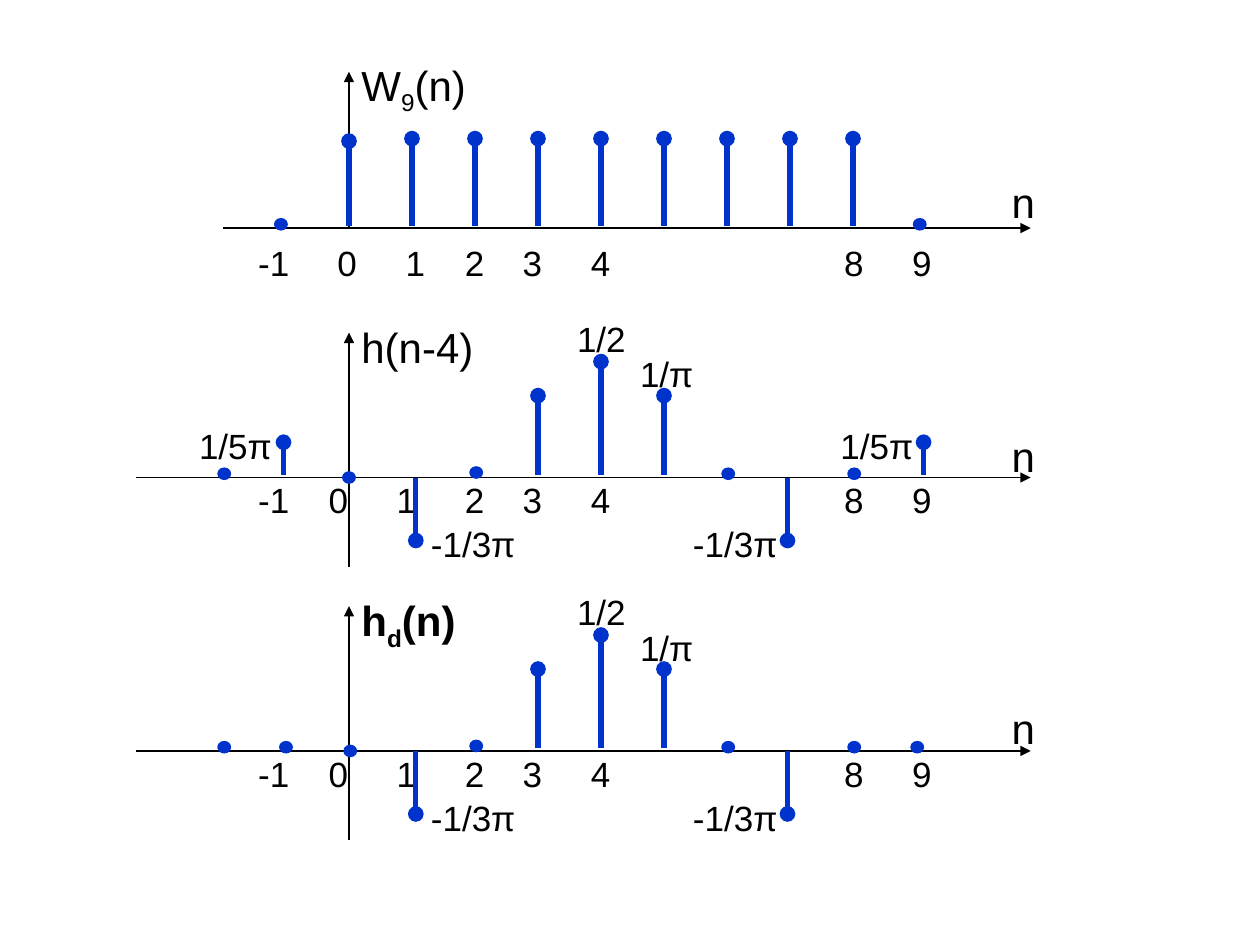
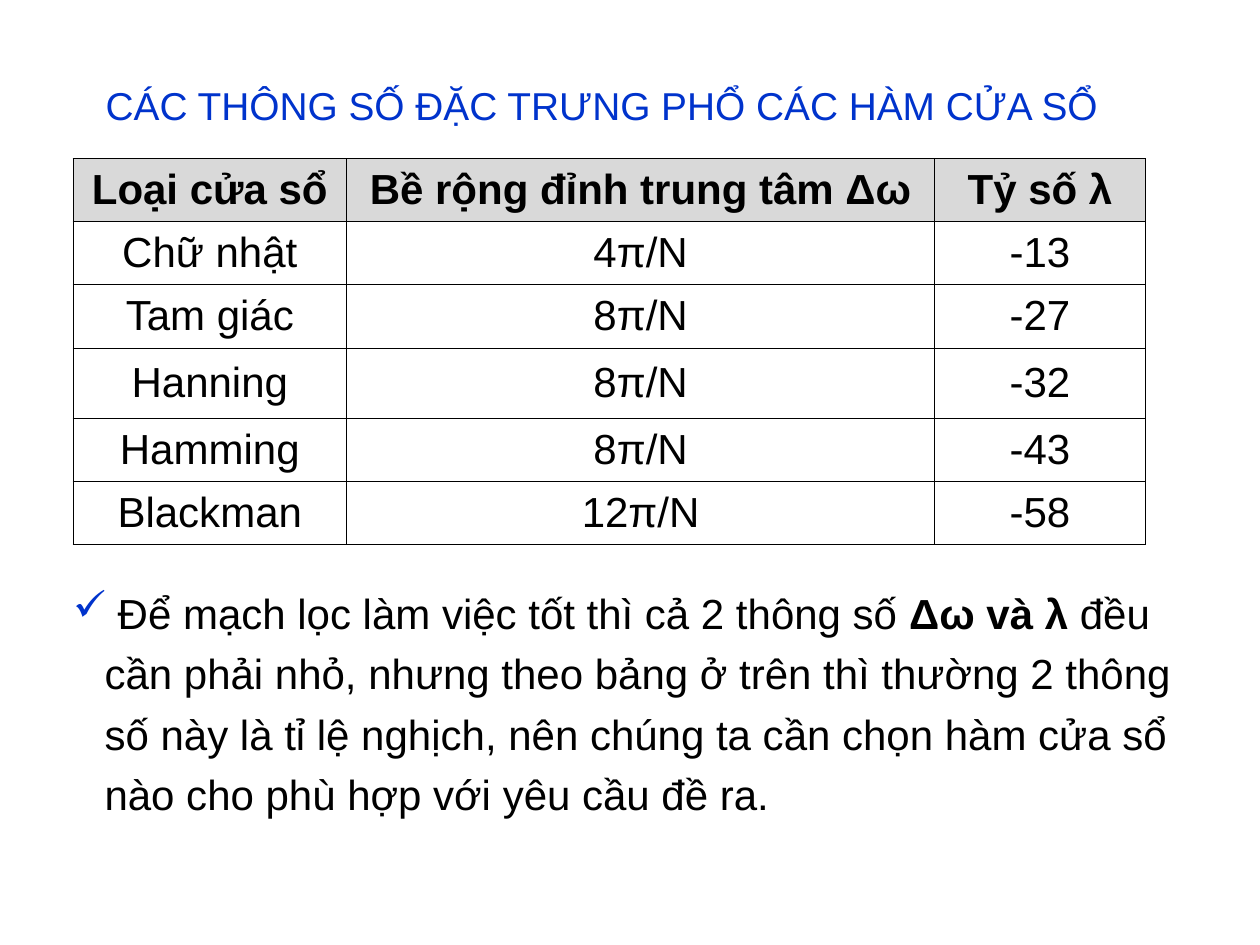
"""Build two slides on window functions: three stem plots, then a table of window parameters."""
import pptx
import pptx.chart.data
import pptx.dml.color
import pptx.enum.shapes
import pptx.enum.text
import pptx.oxml
import pptx.oxml.ns
import pptx.util
from pptx.util import Inches, Pt

COLORS = {"text": "000000", "accent": "0033CC", "header": "D9D9D9"}
FONT = "Arial"
ORIGIN_X, AXIS_END = 2.77, 8.18
TICKS = ["-1", "0", "1", "2", "3", "4", "8", "9"]
TICK_STOPS = [1.64, 2.1, 2.64, 4.65, 5.19]

COMMON_STEMS = [(4.27, 0.65), (4.77, 0.92), (5.27, 0.65), (3.3, -0.5), (6.25, -0.5)]
COMMON_DOTS = [(1.78, 0.03), (3.78, 0.04), (5.78, 0.03), (6.78, 0.03)]
COMMON_VALUES = [("1/2", 4.58, -1.27), ("1/π", 5.08, -0.99),
                 ("-1/3π", 5.5, 0.36), ("-1/3π", 3.42, 0.36)]

PLOTS = [
    dict(title=[("W", 0), ("9", -25), ("(n)", 0)], bold=False, title_top=-1.39, name_top=-0.46,
         base=1.81, left=1.77, top=0.57, bottom=1.81, tick_top=0.06, stops=[0.63, 1.17],
         stems=[(ORIGIN_X, 0.69)] + [(ORIGIN_X + n * 0.5, 0.71) for n in range(1, 9)],
         dots=[(2.23, 0.03), (7.3, 0.03)], values=[]),
    dict(title=[("h(n-4)", 0)], bold=False, title_top=-1.29, name_top=-0.42,
         base=3.79, left=1.08, top=2.64, bottom=4.5, tick_top=-0.04, stops=[0.56, 1.1],
         stems=COMMON_STEMS + [(2.25, 0.28), (7.33, 0.28)],
         dots=COMMON_DOTS + [(ORIGIN_X, 0)],
         values=COMMON_VALUES + [("1/5π", 1.58, -0.42), ("1/5π", 6.67, -0.42)]),
    dict(title=[("h", 0), ("d", -25), ("(n)", 0)], bold=True, title_top=-1.29, name_top=-0.43,
         base=5.96, left=1.08, top=4.81, bottom=6.67, tick_top=-0.04, stops=[0.56, 1.1],
         stems=COMMON_STEMS,
         dots=COMMON_DOTS + [(2.27, 0.03), (2.78, 0), (7.28, 0.03)],
         values=COMMON_VALUES),
]

HEADING = "CÁC THÔNG SỐ ĐẶC TRƯNG PHỔ CÁC HÀM CỬA SỔ"
WINDOWS = [
    ("Loại cửa sổ", "Bề rộng đỉnh trung tâm Δω", "Tỷ số λ"),
    ("Chữ nhật", "4π/N", "-13"),
    ("Tam giác", "8π/N", "-27"),
    ("Hanning", "8π/N", "-32"),
    ("Hamming", "8π/N", "-43"),
    ("Blackman", "12π/N", "-58"),
]
COLUMN_WIDTHS = [2.17, 4.67, 1.67]
ROW_HEIGHTS = [0.5, 0.5, 0.5, 0.56, 0.5, 0.5]
REMARK = [
    (" Để mạch lọc làm việc tốt thì cả 2 thông số ", False),
    ("Δω và λ ", True),
    ("đều cần phải nhỏ, nhưng theo bảng ở trên thì thường 2 thông số này là tỉ lệ nghịch, "
     "nên chúng ta cần chọn hàm cửa sổ nào cho phù hợp với yêu cầu đề ra.", False),
]


def rgb(name):
    return pptx.dml.color.RGBColor.from_string(COLORS[name])


def add_xml(parent, tag, **attributes):
    child = pptx.oxml.parse_xml(f"<a:{tag} {pptx.oxml.ns.nsdecls('a')}/>")
    for key, value in attributes.items():
        child.set(key, str(value))
    parent.append(child)
    return child


def style(paragraph, size, bold=False, color="text"):
    font = paragraph.font
    font.name, font.size, font.bold = FONT, Pt(size), bold
    font.color.rgb = rgb(color)


def add_text(slide, text, left, top, width, height, size, inset=True, **look):
    shape = slide.shapes.add_textbox(Inches(left), Inches(top), Inches(width), Inches(height))
    frame = shape.text_frame
    frame.word_wrap = True
    if not inset:
        frame.margin_left = frame.margin_right = frame.margin_top = frame.margin_bottom = 0
    paragraph = frame.paragraphs[0]
    paragraph.text = text
    style(paragraph, size, **look)
    return shape


def add_line(slide, start, end, color, width, tip):
    points = [Inches(value) for value in (*start, *end)]
    line = slide.shapes.add_connector(pptx.enum.shapes.MSO_CONNECTOR.STRAIGHT, *points)
    line.line.color.rgb = rgb(color)
    line.line.width = Pt(width)
    add_xml(line.line._get_or_add_ln(), "tailEnd", type=tip)
    add_xml(line._element.spPr, "effectLst")


def add_dot(slide, x, y, width=0.1, height=0.09):
    dot = slide.shapes.add_shape(pptx.enum.shapes.MSO_SHAPE.OVAL, Inches(x - width / 2),
                                 Inches(y - height / 2), Inches(width), Inches(height))
    dot.shadow.inherit = False
    dot.fill.solid()
    dot.fill.fore_color.rgb = rgb("accent")
    dot.line.color.rgb = rgb("accent")
    dot.line.width = Pt(0.75)


def add_ticks(slide, plot):
    shape = add_text(slide, "\t".join(TICKS), 1.95, plot["base"] + plot["tick_top"], 5.65, 0.44, 20)
    properties = shape.text_frame.paragraphs[0]._p.get_or_add_pPr()
    tabs = pptx.oxml.parse_xml(f"<a:tabLst {pptx.oxml.ns.nsdecls('a')}/>")
    properties.insert(0, tabs)
    for stop in plot["stops"] + TICK_STOPS:
        add_xml(tabs, "tab", pos=Inches(stop), algn="l")


def add_plot(slide, plot):
    base = plot["base"]
    add_line(slide, (ORIGIN_X, plot["bottom"]), (ORIGIN_X, plot["top"]), "text", 0.75, "triangle")
    add_line(slide, (plot["left"], base), (AXIS_END, base), "text", 0.75, "triangle")
    add_ticks(slide, plot)
    for text, left, offset in plot["values"]:
        add_text(slide, text, left, base + offset, 0.83, 0.33, 20, inset=False)
    for x, height in plot["stems"]:
        start = base - 0.02 if height > 0 else base
        add_line(slide, (x, start), (x, base - height), "accent", 3, "oval")
    for x, rise in plot["dots"]:
        add_dot(slide, x, base - rise)
    add_text(slide, "n", 7.93, base + plot["name_top"], 0.4, 0.5, 24)
    title = add_text(slide, "", ORIGIN_X, base + plot["title_top"], 1.25, 0.56, 24, bold=plot["bold"])
    for text, baseline in plot["title"]:
        run = title.text_frame.paragraphs[0].add_run()
        run.text = text
        if baseline:
            run.font._element.set("baseline", str(baseline * 1000))


def add_borders(cell):
    properties = cell._tc.get_or_add_tcPr()
    for index, side in enumerate(("lnL", "lnR", "lnT", "lnB")):
        border = add_xml(properties, side, w=Pt(0.45))
        add_xml(add_xml(border, "solidFill"), "srgbClr", val=COLORS["text"])
        properties.insert(index, border)


def add_window_table(slide):
    table = slide.shapes.add_table(len(WINDOWS), len(COLUMN_WIDTHS), Inches(0.58), Inches(1.26),
                                   Inches(sum(COLUMN_WIDTHS)), Inches(sum(ROW_HEIGHTS))).table
    table.horz_banding = False
    for column, width in zip(table.columns, COLUMN_WIDTHS):
        column.width = Inches(width)
    for row_index, (row, height, texts) in enumerate(zip(table.rows, ROW_HEIGHTS, WINDOWS)):
        row.height = Inches(height)
        is_header = row_index == 0
        for cell, text in zip(row.cells, texts):
            cell.text = text
            cell.vertical_anchor = pptx.enum.text.MSO_ANCHOR.MIDDLE
            paragraph = cell.text_frame.paragraphs[0]
            paragraph.alignment = pptx.enum.text.PP_ALIGN.CENTER
            style(paragraph, 24, bold=is_header)
            if is_header:
                cell.fill.solid()
                cell.fill.fore_color.rgb = rgb("header")
            else:
                cell.fill.background()
            add_borders(cell)


def add_remark(slide):
    shape = add_text(slide, "", 0.58, 4.58, 8.75, 1.92, 24, inset=False)
    paragraph = shape.text_frame.paragraphs[0]
    paragraph.line_spacing = 1.2
    for text, bold in REMARK:
        run = paragraph.add_run()
        run.text = text
        run.font.bold = bold
    properties = paragraph._p.get_or_add_pPr()
    properties.set("marL", str(Inches(0.25)))
    properties.set("indent", str(-Inches(0.25)))
    bullet_color = add_xml(properties, "buClr")
    add_xml(bullet_color, "srgbClr", val=COLORS["accent"])
    bullet = add_xml(properties, "buChar", char="✓")
    defaults = properties.find(pptx.oxml.ns.qn("a:defRPr"))
    defaults.addprevious(bullet_color)
    defaults.addprevious(bullet)


def main():
    presentation = pptx.Presentation()
    presentation.slide_width, presentation.slide_height = Inches(10), Inches(7.5)
    blank = presentation.slide_layouts[6]

    plot_slide = presentation.slides.add_slide(blank)
    for plot in PLOTS:
        add_plot(plot_slide, plot)

    table_slide = presentation.slides.add_slide(blank)
    heading = add_text(table_slide, HEADING, 0.28, 0.58, 9, 0.5, 22.2, color="accent")
    heading.text_frame.vertical_anchor = pptx.enum.text.MSO_ANCHOR.MIDDLE
    heading.text_frame.paragraphs[0].alignment = pptx.enum.text.PP_ALIGN.CENTER
    add_window_table(table_slide)
    add_remark(table_slide)

    presentation.save("out.pptx")


if __name__ == "__main__":
    main()
